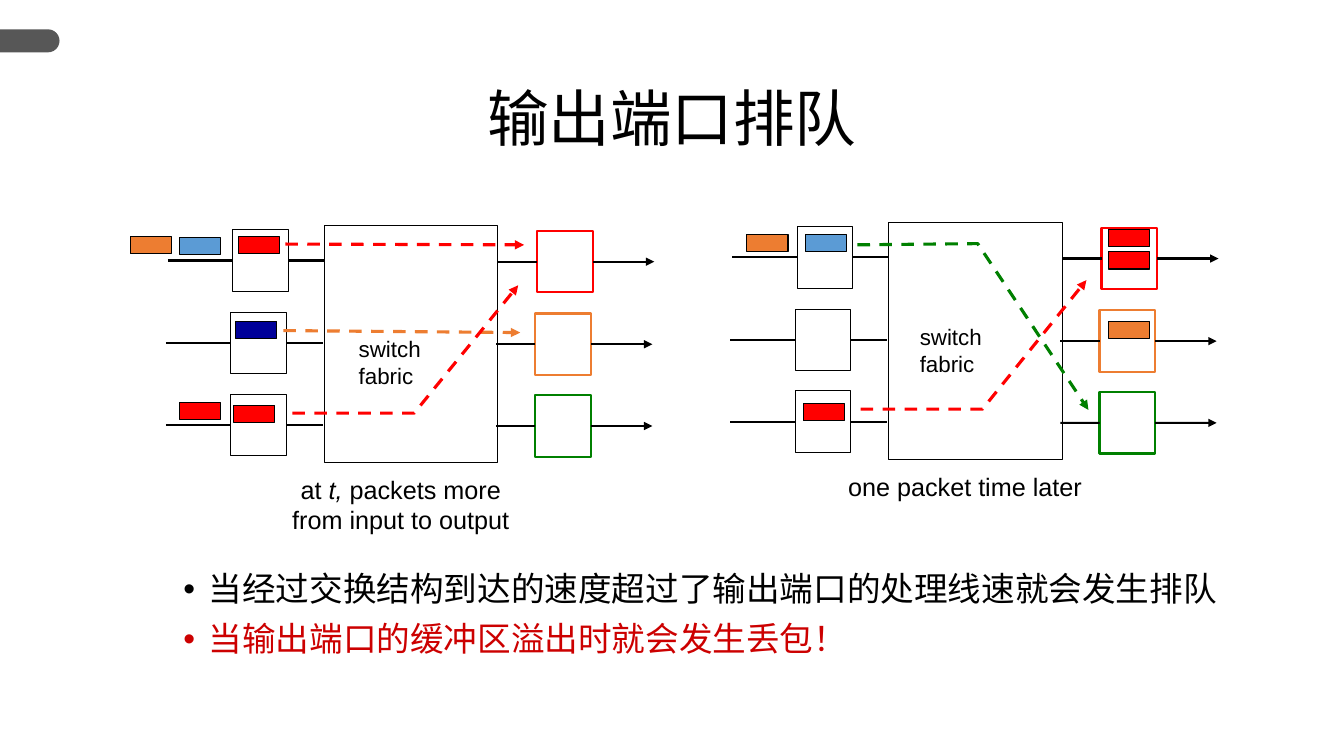
import pptx
import pptx.util
import pptx.dml.color
import pptx.enum.dml
import pptx.enum.shapes
import pptx.enum.text
import pptx.oxml.ns
from lxml import etree
from pptx.util import Cm, Pt

COLORS = {
    "black": "000000", "white": "FFFFFF", "gray": "575757", "red": "FF0000",
    "orange": "ED7D31", "green": "008000", "blue": "5B9BD5", "navy": "000099",
    "alert": "CC0000",
}
LATIN, CHINESE = "Arial", "Noto Sans CJK SC"
SHAPES = pptx.enum.shapes.MSO_SHAPE
CENTER = pptx.enum.text.PP_ALIGN.CENTER
MIDDLE = pptx.enum.text.MSO_ANCHOR.MIDDLE

FABRIC_SIZE = (4.37, 5.97)
PORT_SIZE = (1.4, 1.55)
PACKET_SIZE = (1.04, 0.43)
# Per port row: sideways shift, input top, output top, output colour
ROWS = [(0, 0.1, 0.13, "red"), (-0.05, 2.18, 2.21, "orange"),
        (-0.05, 4.24, 4.27, "green")]


def rgb(name):
    return pptx.dml.color.RGBColor.from_string(COLORS[name])


def add_xml(parent, tag, **attributes):
    return etree.SubElement(parent, pptx.oxml.ns.qn(tag), **attributes)


def add_text(page, left, top, width, height, lines, font=LATIN, size=18,
             align=None, anchor=None, wrap=True, spacing=None, gap=0,
             bullet=False):
    """Each line is a list of (text, colour, italic) spans."""
    box = page.shapes.add_textbox(Cm(left), Cm(top), Cm(width), Cm(height))
    frame = box.text_frame
    frame.word_wrap = wrap
    if anchor is not None:
        frame.vertical_anchor = anchor
    for index, spans in enumerate(lines):
        para = frame.add_paragraph() if index else frame.paragraphs[0]
        if bullet:
            props = para._p.get_or_add_pPr()
            props.set("marL", str(Cm(0.64)))
            props.set("indent", str(-Cm(0.64)))
            add_xml(props, "a:buFont", typeface=LATIN)
            add_xml(props, "a:buChar", char="•")
        para.alignment = align
        if spacing:
            para.line_spacing = spacing
        if index and gap:
            para.space_before = Pt(gap)
        for text, color, italic in spans:
            span = para.add_run()
            span.text = text
            span.font.size = Pt(size)
            span.font.name = font
            span.font.italic = italic
            span.font.color.rgb = rgb(color)
            add_xml(span._r.get_or_add_rPr(), "a:ea", typeface=font)


def add_box(page, left, top, size, fill, line="black", weight=0.75):
    box = page.shapes.add_shape(SHAPES.RECTANGLE, Cm(left), Cm(top),
                                Cm(size[0]), Cm(size[1]))
    box.shadow.inherit = False
    box.fill.solid()
    box.fill.fore_color.rgb = rgb(fill)
    box.line.color.rgb = rgb(line)
    box.line.width = Pt(weight)
    return box


def style_line(line, color, weight, dashed=False, arrow=False):
    line.color.rgb = rgb(color)
    line.width = Pt(weight)
    if dashed:
        line.dash_style = pptx.enum.dml.MSO_LINE.DASH
    if arrow:
        add_xml(line._get_or_add_ln(), "a:tailEnd", type="triangle")


def add_line(page, start, end, color="black", weight=1.5, dashed=False,
             arrow=False):
    line = page.shapes.add_connector(
        pptx.enum.shapes.MSO_CONNECTOR.STRAIGHT,
        Cm(start[0]), Cm(start[1]), Cm(end[0]), Cm(end[1]))
    style_line(line.line, color, weight, dashed, arrow)
    add_xml(line._element.spPr, "a:effectLst")
    return line


def add_route(page, points, color):
    """Dashed packet path: a connector if straight, an open outline if bent."""
    if len(points) == 2:
        add_line(page, *points, color, 2.25, dashed=True, arrow=True)
        return
    corners = [(Cm(x), Cm(y)) for x, y in points]
    builder = page.shapes.build_freeform(*corners[0])
    builder.add_line_segments(corners[1:], close=False)
    route = builder.convert_to_shape()
    route.shadow.inherit = False
    route.fill.background()
    style_line(route.line, color, 2.25, dashed=True, arrow=True)


def add_port_row(page, left, top, row):
    """One input port and one output port with their lines."""
    shift, input_top, output_top, color = row
    width, height = PORT_SIZE
    input_left, output_left = left - 2.31 + shift, left + 5.36 + shift
    input_port = add_box(page, input_left, top + input_top, PORT_SIZE, "white")
    output_port = add_box(page, output_left, top + output_top, PORT_SIZE,
                          "white", color, 1.5)
    input_y = top + input_top + height / 2
    output_y = top + output_top + height / 2
    input_right, output_right = input_left + width, output_left + width

    add_line(page, (input_left - 1.64, input_y),
             (input_left, input_y)).end_connect(input_port, 1)
    add_line(page, (input_right, input_y),
             (left + shift, input_y)).begin_connect(input_port, 3)
    add_line(page, (left + FABRIC_SIZE[0] + shift, output_y),
             (output_left, output_y)).end_connect(output_port, 1)
    add_line(page, (output_right, output_y), (output_right + 1.55, output_y),
             arrow=True).begin_connect(output_port, 3)


def add_switch(page, left, top, label_at, packets, routes, caption):
    """Switch diagram; all positions are relative to the fabric's corner."""
    add_box(page, left, top, FABRIC_SIZE, "white")
    for row in ROWS:
        add_port_row(page, left, top, row)
    for x, y, color in packets:
        add_box(page, left + x, top + y, PACKET_SIZE, color)
    for color, points in routes:
        add_route(page, [(left + x, top + y) for x, y in points], color)
    add_text(page, left + label_at[0], top + label_at[1], 2.08, 1.63,
             [[("switch", "black", False)], [("fabric", "black", False)]],
             size=16, wrap=False)
    add_text(page, left - 2.64, top + 6.13, 9.12, 1.03, caption, align=CENTER)


def add_heading(page):
    tab = page.shapes.add_shape(SHAPES.ROUND_2_SAME_RECTANGLE,
                                Cm(0.46), Cm(0.28), Cm(0.58), Cm(1.5))
    tab.adjustments[0] = 0.5
    tab.rotation = 90
    tab.shadow.inherit = False
    tab.fill.solid()
    tab.fill.fore_color.rgb = rgb("gray")
    tab.line.fill.background()
    add_text(page, 0, 2.06, 33.87, 2.03, [[("输出端口排队", "black", False)]],
             font=CHINESE, size=44, align=CENTER, anchor=MIDDLE, spacing=0.9)


def main():
    deck = pptx.Presentation()
    deck.slide_width, deck.slide_height = Cm(33.87), Cm(19.05)
    page = deck.slides.add_slide(deck.slide_layouts[6])
    add_heading(page)
    add_switch(
        page, 8.18, 5.69, (0.61, 2.64),
        [(-4.9, 0.28, "orange"), (-3.66, 0.3, "blue"), (-2.18, 0.28, "red"),
         (-2.24, 2.41, "navy"), (-3.66, 4.45, "red"), (-2.29, 4.52, "red")],
        [("red", [(-0.99, 0.46), (5.03, 0.48)]),
         ("orange", [(-1.04, 2.64), (4.93, 2.69)]),
         ("red", [(-0.81, 4.72), (2.26, 4.72), (4.88, 1.5)])],
        [[("at ", "black", False), ("t,", "black", True),
          (" packets more", "black", False)],
         [("from input to output", "black", False)]])
    add_switch(
        page, 22.4, 5.61, (0.53, 2.41),
        [(-3.58, 0.3, "orange"), (-2.11, 0.3, "blue"), (-2.16, 4.57, "red"),
         (5.54, 0.18, "red"), (5.54, 0.74, "red"), (5.54, 2.49, "orange")],
        [("red", [(-0.71, 4.7), (2.36, 4.7), (4.98, 1.45)]),
         ("green", [(-0.79, 0.56), (2.24, 0.53), (5.03, 4.72)])],
        [[("one packet time later", "black", False)]])
    add_text(page, 4.37, 14.3, 28.78, 3.3,
             [[("当经过交换结构到达的速度超过了输出端口的处理线速就会发生排队", "black", False)],
              [("当输出端口的缓冲区溢出时就会发生丢包！", "alert", False)]],
             font=CHINESE, size=24, spacing=0.9, gap=10, bullet=True)
    deck.save("out.pptx")


if __name__ == "__main__":
    main()
